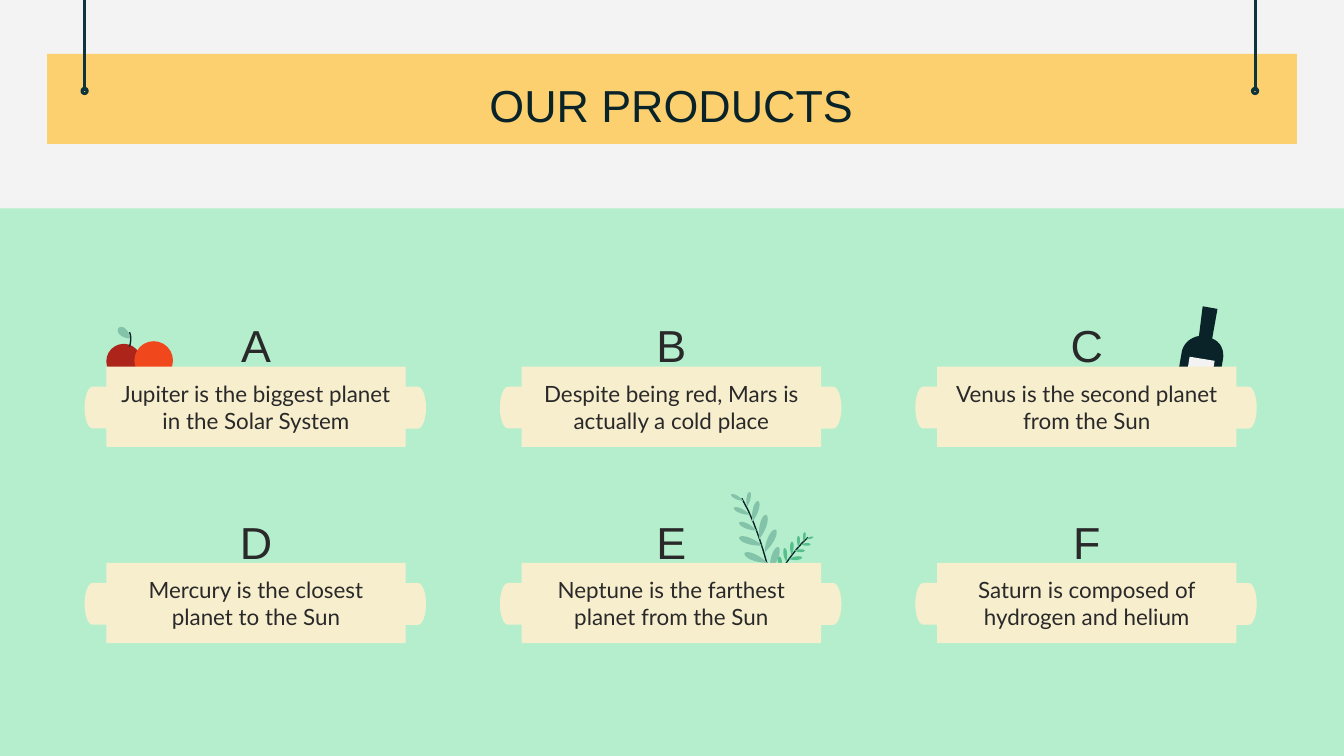
from itertools import product

from pptx import Presentation
from pptx.dml.color import RGBColor
from pptx.enum.shapes import MSO_CONNECTOR as Connector, MSO_SHAPE as Shape
from pptx.enum.text import MSO_ANCHOR as Anchor, PP_ALIGN as Align
from pptx.oxml.ns import qn
from pptx.util import Cm, Pt

PAPER = RGBColor(0xF3, 0xF3, 0xF3)
MINT = RGBColor(0xB5, 0xEE, 0xCC)
AMBER = RGBColor(0xFC, 0xD0, 0x6F)
CREAM = RGBColor(0xF7, 0xEE, 0xCE)
INK = RGBColor(0x09, 0x23, 0x29)
CORD = RGBColor(0x0C, 0x34, 0x3D)
TEXT = RGBColor(0x2A, 0x29, 0x29)
SAGE = RGBColor(0x83, 0xC3, 0xA9)
GREEN = RGBColor(0x57, 0xBF, 0x8E)
RED = RGBColor(0xAD, 0x24, 0x1B)
ORANGE = RGBColor(0xF1, 0x47, 0x1D)

WIDTH, HEIGHT = 25.4, 14.29
FLOOR_TOP = 3.94
CARD_LEFT, CARD_TOP, CARD_WIDTH, CARD_HEIGHT = 2.01, 6.93, 5.66, 1.52
COLUMN_STEP, ROW_STEP = 7.85, 3.71
HANDLE_WIDTH, HANDLE_HEIGHT = 0.91, 0.79

PRODUCTS = [
    ("A", "Jupiter is the biggest planet in the Solar System"),
    ("B", "Despite being red, Mars is actually a cold place"),
    ("C", "Venus is the second planet from the Sun"),
    ("D", "Mercury is the closest planet to the Sun"),
    ("E", "Neptune is the farthest planet from the Sun"),
    ("F", "Saturn is composed of hydrogen and helium"),
]

BOTTLE = [
    (22.73, 5.79), (22.66, 6.35),
    (22.43, 6.4, 22.35, 6.55, 22.33, 6.68), (22.07, 8.2),
    (22.07, 8.28, 22.12, 8.36, 22.2, 8.36), (22.68, 8.43),
    (22.78, 8.43, 22.83, 8.41, 22.86, 8.33), (23.11, 6.81),
    (23.14, 6.68, 23.11, 6.48, 22.91, 6.4), (23.01, 5.84),
]
APPLE_STEM = [(2.45, 6.28), (2.5, 6.4, 2.45, 6.55, 2.45, 6.55)]
TALL_STEM = [(14.02, 9.42), (14.43, 10.11, 14.66, 11.35, 14.66, 11.35)]
SHORT_STEM = [(15.27, 10.16), (14.94, 10.44, 14.59, 11.07, 14.59, 11.07)]

TALL_LEAVES = [
    (14.55, 10.8, 14.71, 10.34), (14.45, 10.44, 14.66, 10.01),
    (14.35, 10.19, 14.48, 9.73), (14.22, 9.86, 14.33, 9.47),
    (14.12, 9.58, 14.17, 9.3), (14.05, 9.47, 13.82, 9.35),
    (14.17, 9.73, 13.87, 9.6), (14.3, 10.03, 13.97, 9.88),
    (14.4, 10.31, 13.97, 10.16), (14.5, 10.64, 14.07, 10.46),
]
SHORT_LEAVES = [
    (14.76, 10.8, 14.73, 10.52), (14.86, 10.62, 14.83, 10.36),
    (14.96, 10.49, 14.97, 10.24), (15.09, 10.34, 15.09, 10.13),
    (15.19, 10.24, 15.21, 10.06), (15.24, 10.19, 15.37, 10.15),
    (15.14, 10.29, 15.32, 10.29), (15.01, 10.41, 15.21, 10.41),
    (14.91, 10.57, 15.16, 10.54), (14.81, 10.72, 15.06, 10.72),
]


def trace(points_and_curves, steps=10):
    points = [points_and_curves[0]]
    for segment in points_and_curves[1:]:
        if len(segment) == 2:
            points.append(segment)
            continue
        x0, y0 = points[-1]
        x1, y1, x2, y2, x3, y3 = segment
        for step in range(1, steps + 1):
            t = step / steps
            a, b, c, d = (1 - t) ** 3, 3 * t * (1 - t) ** 2, 3 * t * t * (1 - t), t ** 3
            points.append((a * x0 + b * x1 + c * x2 + d * x3,
                           a * y0 + b * y1 + c * y2 + d * y3))
    return [(Cm(x), Cm(y)) for x, y in points]


class SlidePainter:
    heading_font, body_font = "Arial", "Lato"
    heading_size, body_size = Pt(24), Pt(12)
    thin, thick = Pt(0.75), Pt(1.5)

    def __init__(self, slide):
        self.slide = slide
        self.shapes = slide.shapes

    def background(self, color):
        fill = self.slide.background.fill
        fill.solid()
        fill.fore_color.rgb = color

    def paint(self, shape, color):
        shape.shadow.inherit = False
        shape.fill.solid()
        shape.fill.fore_color.rgb = color
        shape.line.fill.background()
        return shape

    def block(self, kind, left, top, width, height, color, rotation=0):
        shape = self.shapes.add_shape(kind, Cm(left), Cm(top), Cm(width), Cm(height))
        shape.rotation = rotation
        return self.paint(shape, color)

    def label(self, shape, text, font, size, color, anchor=Anchor.MIDDLE):
        frame = shape.text_frame
        frame.word_wrap = True
        frame.vertical_anchor = anchor
        paragraph = frame.paragraphs[0]
        paragraph.alignment = Align.CENTER
        run = paragraph.add_run()
        run.text = text
        run.font.name, run.font.size = font, size
        run.font.color.rgb = color
        return frame

    def heading(self, text, left, top, width, height, color, anchor=Anchor.MIDDLE):
        box = self.shapes.add_textbox(Cm(left), Cm(top), Cm(width), Cm(height))
        frame = self.label(box, text, self.heading_font, self.heading_size, color, anchor)
        frame.margin_top = frame.margin_bottom = 0

    def freeform(self, points_and_curves, closed=True):
        points = trace(points_and_curves)
        builder = self.shapes.build_freeform(*points[0])
        builder.add_line_segments(points[1:], close=closed)
        return builder.convert_to_shape()

    def outline(self, points_and_curves, color):
        return self.paint(self.freeform(points_and_curves), color)

    def stem(self, points_and_curves):
        shape = self.freeform(points_and_curves, closed=False)
        shape.shadow.inherit = False
        shape.fill.background()
        shape.line.color.rgb = INK
        shape.line.width = self.thin

    def leaf(self, base_x, base_y, tip_x, tip_y, color, bulge=0.18):
        dx, dy = tip_x - base_x, tip_y - base_y

        def beside(along, side):
            return (base_x + along * dx - side * bulge * dy,
                    base_y + along * dy + side * bulge * dx)

        self.outline([(base_x, base_y),
                      (*beside(0.4, 1), *beside(0.95, 1), tip_x, tip_y),
                      (*beside(0.95, -1), *beside(0.4, -1), base_x, base_y)], color)

    def hanger(self, x, bottom, ring=0.13):
        cord = self.shapes.add_connector(Connector.STRAIGHT, Cm(x), 0, Cm(x), Cm(bottom))
        cord.line.color.rgb = CORD
        cord.line.width = self.thick
        properties = cord._element.spPr
        properties.append(properties.makeelement(qn("a:effectLst"), {}))
        loop = self.block(Shape.DONUT, x - ring / 2, bottom - ring / 2, ring, ring, CORD)
        loop.line.color.rgb = CORD
        loop.line.width = self.thin

    def card(self, left, top, letter, text):
        handle_top = top + 0.38
        for handle_left, rotation in ((left - 0.41, 0), (left + 5.13, 180)):
            self.block(Shape.FLOWCHART_STORED_DATA, handle_left, handle_top,
                       HANDLE_WIDTH, HANDLE_HEIGHT, CREAM, rotation)
        plate = self.block(Shape.RECTANGLE, left, top, CARD_WIDTH, CARD_HEIGHT, CREAM)
        self.label(plate, text, self.body_font, self.body_size, TEXT)
        self.heading(letter, left, top - 1.17, CARD_WIDTH, 1.27, TEXT, Anchor.BOTTOM)


def main():
    presentation = Presentation()
    presentation.slide_width, presentation.slide_height = Cm(WIDTH), Cm(HEIGHT)
    painter = SlidePainter(presentation.slides.add_slide(presentation.slide_layouts[6]))
    painter.background(PAPER)
    painter.block(Shape.RECTANGLE, 0, FLOOR_TOP, WIDTH, HEIGHT - FLOOR_TOP, MINT)

    painter.outline(BOTTLE, INK)
    painter.block(Shape.RECTANGLE, 22.45, 6.78, 0.48, 0.36, PAPER, 9.2)
    for stem, leaves, color in ((TALL_STEM, TALL_LEAVES, SAGE),
                                (SHORT_STEM, SHORT_LEAVES, GREEN)):
        painter.stem(stem)
        for leaf in leaves:
            painter.leaf(*leaf, color)
    painter.block(Shape.OVAL, 2.01, 6.5, 0.66, 0.66, RED)
    painter.block(Shape.OVAL, 2.54, 6.45, 0.73, 0.73, ORANGE)
    painter.stem(APPLE_STEM)
    painter.leaf(2.46, 6.4, 2.24, 6.2, SAGE, bulge=0.35)

    painter.block(Shape.RECTANGLE, 0.89, 1.02, 23.62, 1.7, AMBER)
    for x in (1.6, 23.72):
        painter.hanger(x, 1.72)
    painter.heading("OUR PRODUCTS", 3.81, 1.17, 17.75, 1.6, INK)

    for (row, column), (letter, text) in zip(product(range(2), range(3)), PRODUCTS):
        painter.card(CARD_LEFT + column * COLUMN_STEP, CARD_TOP + row * ROW_STEP, letter, text)

    presentation.save("out.pptx")


if __name__ == "__main__":
    main()
